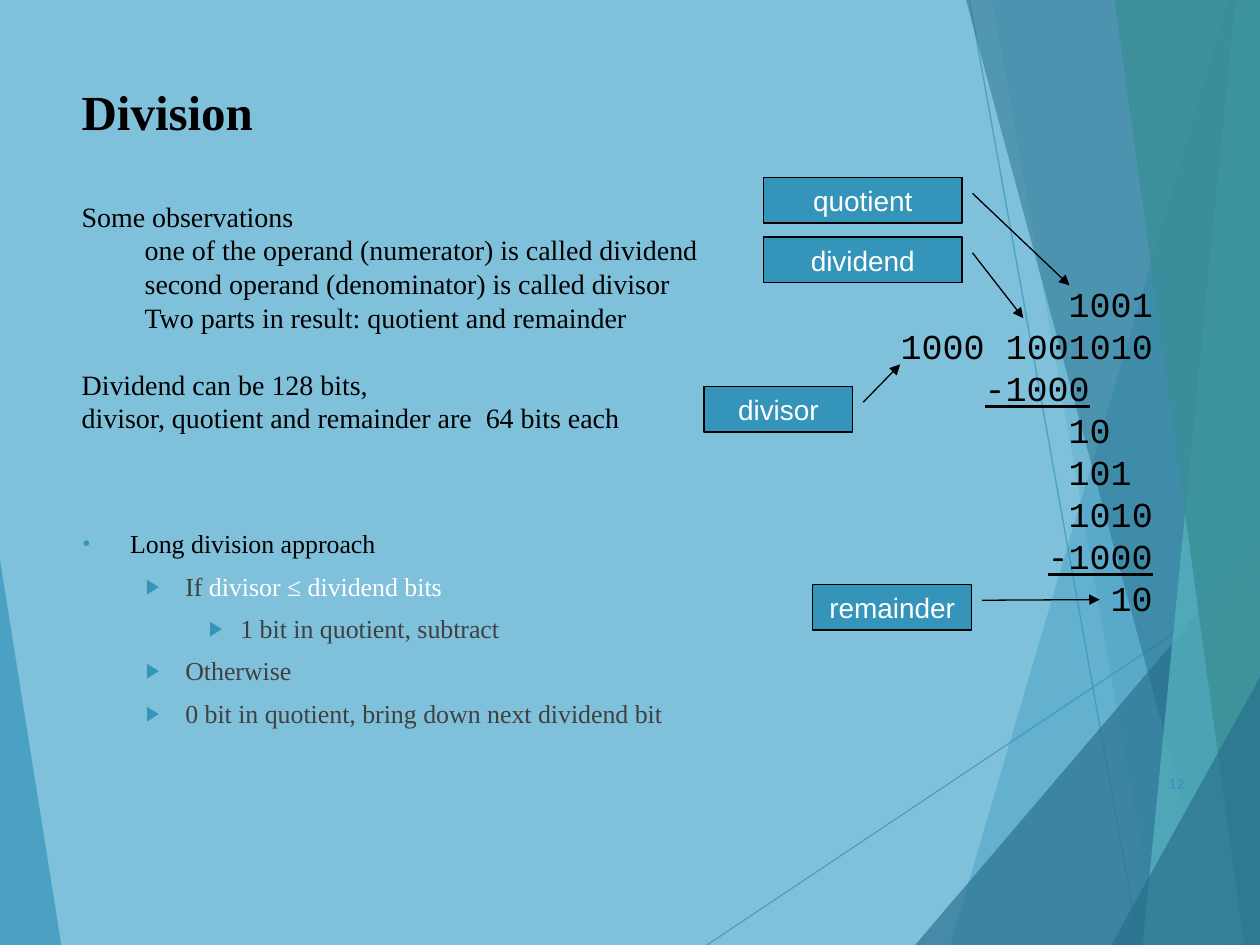
from dataclasses import dataclass

from lxml.etree import SubElement
from pptx import Presentation
from pptx.dml.color import RGBColor
from pptx.enum.shapes import MSO_CONNECTOR, MSO_SHAPE
from pptx.enum.text import MSO_ANCHOR, PP_ALIGN
from pptx.oxml.ns import qn
from pptx.util import Pt

BLUE = RGBColor(0x34, 0x94, 0xBA)
DARK_BLUE = RGBColor(0x27, 0x6F, 0x8B)
TEAL = RGBColor(0x58, 0xB6, 0xC0)
DARK_TEAL = RGBColor(0x3A, 0x8F, 0x98)
SKY = RGBColor(0x7F, 0xC1, 0xDB)
GREY = RGBColor(0x40, 0x40, 0x40)
BLACK = RGBColor(0, 0, 0)
WHITE = RGBColor(0xFF, 0xFF, 0xFF)

SERIF, SANS, MONO = "Times New Roman", "Arial", "Courier New"
WIDTH, HEIGHT = 720, 540
MONO_ADVANCE = 12  # width of one character at 20 pt


@dataclass
class Facet:
    points: list[tuple[float, float]]
    color: RGBColor
    opacity: int


@dataclass
class TextLine:
    text: str
    indent: float = 0
    size: float = 16
    font: str = SERIF
    bold: bool = False
    underline: bool = False
    space_before: float = 0


@dataclass
class BulletLine:
    runs: list[tuple[str, RGBColor]]
    indent: float
    hanging: float
    bullet: str = "▶"


@dataclass
class Callout:
    label: str
    left: float
    top: float
    width: float
    pointer: tuple[float, float, float, float]


def right_band(top_x: float, bottom_x: float) -> list[tuple[float, float]]:
    """Area between a slanted edge and the right side of the slide."""
    return [(top_x, 0), (bottom_x, HEIGHT), (WIDTH, HEIGHT), (WIDTH, 0)]


def corner(bottom_x: float, right_y: float) -> list[tuple[float, float]]:
    """Triangle in the lower right corner of the slide."""
    return [(bottom_x, HEIGHT), (WIDTH, right_y), (WIDTH, HEIGHT)]


FACETS = [
    Facet(right_band(702, 543), BLUE, 36),
    Facet(right_band(567, 662), BLUE, 20),
    Facet(corner(523, 309), DARK_BLUE, 66),
    Facet(right_band(552, 698), DARK_BLUE, 50),
    Facet(right_band(706, 653), TEAL, 70),
    Facet(right_band(637, 711), DARK_TEAL, 82),
    Facet(corner(635, 387), DARK_BLUE, 66),
]
LEFT_FACET = Facet([(0, 320), (35, HEIGHT), (0, HEIGHT)], BLUE, 70)
THIN_LINES = [(404, HEIGHT, WIDTH, 329), (554, 0, 651, HEIGHT)]

OBSERVATIONS = [
    TextLine("Division", size=28, bold=True),
    TextLine("Some observations", space_before=33.6),
    TextLine("one of the operand (numerator) is called dividend", 36),
    TextLine("second operand (denominator) is called divisor", 36),
    TextLine("Two parts in result: quotient and remainder", 36),
    TextLine("Dividend can be 128 bits,", space_before=19.2),
    TextLine("divisor, quotient and remainder are  64 bits each"),
]
# Text of each row and its starting column
DIVISION_ROWS = [
    ("1001", 8), ("1000 1001010", 0), ("-1000", 4), ("10", 8),
    ("101", 8), ("1010", 8), ("-1000", 7), ("10", 10),
]
DIVISION_LINES = [
    TextLine(text, column * MONO_ADVANCE, 20, MONO, underline=text.startswith("-"))
    for text, column in DIVISION_ROWS
]
APPROACH = [
    BulletLine([("Long division approach", BLACK)], 27, 27, "•"),
    BulletLine([("If ", GREY), ("divisor ≤ dividend bits", WHITE)], 58.5, 22.5),
    BulletLine([("1 bit in quotient, subtract", GREY)], 90, 18),
    BulletLine([("Otherwise", GREY)], 58.5, 22.5),
    BulletLine([("0 bit in quotient, bring down next dividend bit", GREY)], 58.5, 22.5),
]
CALLOUTS = [
    Callout("quotient", 436.3, 101.5, 113.4, (0.346, 1.053, 2.37, 1.542)),
    Callout("dividend", 436.3, 135.5, 113.4, (0.346, 1.053, 1.784, 1.309)),
    Callout("remainder", 464.5, 334, 90.7, (0.346, 1.066, 0.332, 1.807)),
    Callout("divisor", 402.3, 220.8, 85, (0.346, 1.071, -0.486, 1.319)),
]


def set_opacity(fill, percent: int) -> None:
    color = fill._xPr.find(qn("a:solidFill"))[0]
    SubElement(color, qn("a:alpha"), val=str(percent * 1000))


def draw_facet(slide, facet: Facet) -> None:
    builder = slide.shapes.build_freeform(*facet.points[0], scale=Pt(1))
    builder.add_line_segments(facet.points[1:], close=True)
    shape = builder.convert_to_shape()
    shape.shadow.inherit = False
    shape.fill.solid()
    shape.fill.fore_color.rgb = facet.color
    set_opacity(shape.fill, facet.opacity)
    shape.line.fill.background()


def draw_thin_line(slide, ends: tuple[float, float, float, float]) -> None:
    connector = slide.shapes.add_connector(MSO_CONNECTOR.STRAIGHT, *map(Pt, ends))
    connector.line.width = Pt(0.75)
    connector.line.color.rgb = BLUE
    set_opacity(connector.line.fill, 70)
    SubElement(connector._element.spPr, qn("a:effectLst"))


def add_text_frame(slide, left: float, top: float, width: float, height: float):
    frame = slide.shapes.add_textbox(Pt(left), Pt(top), Pt(width), Pt(height)).text_frame
    frame.word_wrap = True
    return frame


def add_paragraphs(frame, count: int):
    for _ in range(count - 1):
        frame.add_paragraph()
    return frame.paragraphs


def write_lines(frame, lines: list[TextLine]) -> None:
    for paragraph, line in zip(add_paragraphs(frame, len(lines)), lines):
        paragraph.text = line.text
        paragraph.line_spacing = Pt(line.size * 1.2)
        paragraph.space_before = Pt(line.space_before)
        paragraph._p.get_or_add_pPr().set("marL", str(Pt(line.indent)))
        font = paragraph.font
        font.name, font.size = line.font, Pt(line.size)
        font.bold, font.underline = line.bold, line.underline
        font.color.rgb = BLACK


def write_bullets(frame, lines: list[BulletLine]) -> None:
    for paragraph, line in zip(add_paragraphs(frame, len(lines)), lines):
        paragraph.line_spacing = Pt(14.2)
        paragraph.space_after = Pt(10)
        properties = paragraph._p.get_or_add_pPr()
        properties.set("marL", str(Pt(line.indent)))
        properties.set("indent", str(-Pt(line.hanging)))
        bullet_color = SubElement(properties, qn("a:buClr"))
        SubElement(bullet_color, qn("a:srgbClr"), val=str(BLUE))
        SubElement(properties, qn("a:buSzPct"), val="80000")
        SubElement(properties, qn("a:buFont"), typeface=SANS)
        SubElement(properties, qn("a:buChar"), char=line.bullet)
        paragraph.font.name, paragraph.font.size = SERIF, Pt(14.8)
        for text, color in line.runs:
            run = paragraph.add_run()
            run.text = text
            run.font.color.rgb = color


def draw_callout(slide, callout: Callout) -> None:
    shape = slide.shapes.add_shape(
        MSO_SHAPE.LINE_CALLOUT_1, Pt(callout.left), Pt(callout.top), Pt(callout.width), Pt(26)
    )
    for index, value in enumerate(callout.pointer):
        shape.adjustments[index] = value
    shape.shadow.inherit = False
    shape.fill.solid()
    shape.fill.fore_color.rgb = BLUE
    shape.line.color.rgb = BLACK
    shape.line.width = Pt(0.75)
    SubElement(shape.line._get_or_add_ln(), qn("a:tailEnd"), type="triangle")
    frame = shape.text_frame
    frame.word_wrap = False
    frame.vertical_anchor = MSO_ANCHOR.MIDDLE
    paragraph = frame.paragraphs[0]
    paragraph.text = callout.label
    paragraph.alignment = PP_ALIGN.CENTER
    paragraph.font.name, paragraph.font.size = SANS, Pt(16)
    paragraph.font.color.rgb = WHITE


def main() -> None:
    presentation = Presentation()
    presentation.slide_width, presentation.slide_height = Pt(WIDTH), Pt(HEIGHT)
    slide = presentation.slides.add_slide(presentation.slide_layouts[6])
    slide.background.fill.solid()
    slide.background.fill.fore_color.rgb = SKY

    draw_facet(slide, LEFT_FACET)
    for ends in THIN_LINES:
        draw_thin_line(slide, ends)
    for facet in FACETS:
        draw_facet(slide, facet)

    number = add_text_frame(slide, 634, 438, 50, 20)
    number.vertical_anchor = MSO_ANCHOR.MIDDLE
    paragraph = number.paragraphs[0]
    paragraph.text = "12"
    paragraph.alignment = PP_ALIGN.RIGHT
    paragraph.font.name, paragraph.font.size = SANS, Pt(8)
    paragraph.font.color.rgb = BLUE

    write_bullets(add_text_frame(slide, 40.3, 301.7, 391, 123), APPROACH)
    write_lines(add_text_frame(slide, 39.6, 43.2, 525.6, 230.4), OBSERVATIONS)
    write_lines(add_text_frame(slide, 507.6, 157.7, 170, 199.4), DIVISION_LINES)
    for callout in CALLOUTS:
        draw_callout(slide, callout)
    presentation.save("out.pptx")


if __name__ == "__main__":
    main()
